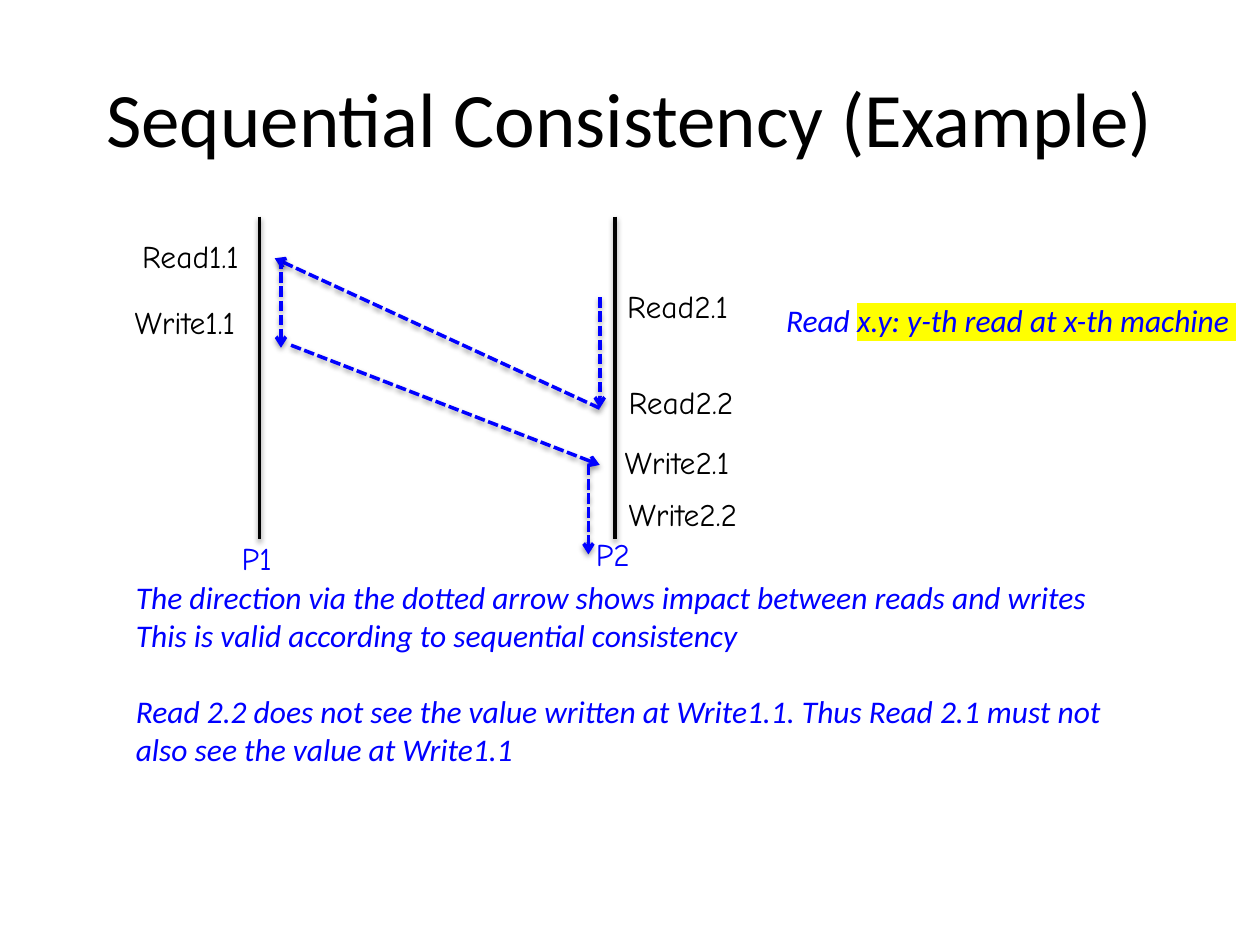
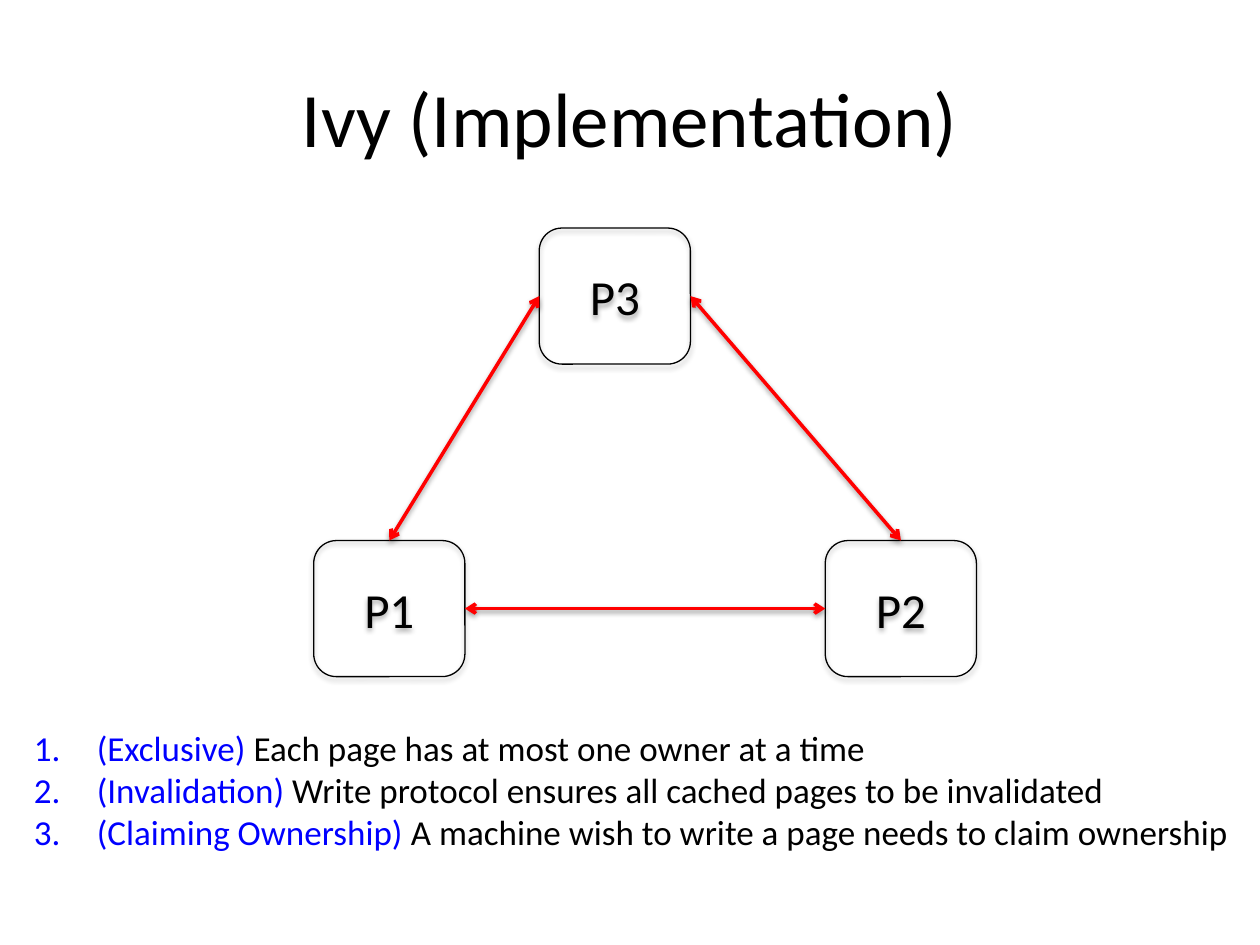
from lxml import etree
from pptx import Presentation
from pptx import util as u
from pptx.dml.color import RGBColor
from pptx.enum import dml, shapes, text
from pptx.oxml.ns import qn

WIDTH, HEIGHT = u.Inches(10), u.Inches(7.5)
COLUMNS, ROWS = 100, 75
BLACK, BLUE, RED, YELLOW = "000000", "0000FF", "FF0000", "FFFF00"
BODY_FONT, LABEL_FONT = "Calibri", "Comic Neue"
ALIGN = text.PP_ALIGN


def col(count):
    return round(WIDTH * count / COLUMNS)


def row(count):
    return round(HEIGHT * count / ROWS)


def rgb(value):
    return RGBColor.from_string(value)


def add_shadow(element, opacity, distance):
    effects = etree.SubElement(element.spPr, qn("a:effectLst"))
    shadow = etree.SubElement(effects, qn("a:outerShdw"), blurRad=str(u.Pt(3.1)),
                              dist=str(u.Pt(distance)), dir="5400000", rotWithShape="0")
    color = etree.SubElement(shadow, qn("a:srgbClr"), val=BLACK)
    etree.SubElement(color, qn("a:alpha"), val=str(opacity * 1000))


def style(span, size, color, font=BODY_FONT, italic=None):
    span.font.name = font
    span.font.size = u.Pt(size)
    span.font.color.rgb = rgb(color)
    span.font.italic = italic


def highlight(span, color):
    mark = etree.Element(qn("a:highlight"))
    etree.SubElement(mark, qn("a:srgbClr"), val=color)
    span.font._element.find(qn("a:latin")).addprevious(mark)


def add_span(para, words, *look, **options):
    span = para.add_run()
    span.text = words
    style(span, *look, **options)
    return span


def add_box(page, left, top, width, height, wrap=False):
    box = page.shapes.add_textbox(col(left), row(top), col(width), row(height))
    box.text_frame.word_wrap = wrap
    box.text_frame.auto_size = text.MSO_AUTO_SIZE.SHAPE_TO_FIT_TEXT
    return box.text_frame


def add_page(deck, title):
    page = deck.slides.add_slide(deck.slide_layouts[6])
    frame = add_box(page, 5, 3, 90, 12.5, wrap=True)
    frame.auto_size = text.MSO_AUTO_SIZE.NONE
    frame.vertical_anchor = text.MSO_ANCHOR.MIDDLE
    frame.text = title
    frame.paragraphs[0].alignment = ALIGN.CENTER
    style(frame.paragraphs[0].runs[0], 44, BLACK)
    return page


def set_indent(para, margin, first):
    properties = para._p.get_or_add_pPr()
    properties.set("marL", str(col(margin)))
    properties.set("indent", str(col(first)))
    return properties


def add_indented(page, left, top):
    para = add_box(page, left, top, 50, 4, wrap=True).paragraphs[0]
    para.level = 1
    para.alignment = ALIGN.JUSTIFY
    set_indent(para, 5, 0)
    return para


def add_line(page, start, end, color, dashed=False, arrows=()):
    line = page.shapes.add_connector(shapes.MSO_CONNECTOR.STRAIGHT,
                                     col(start[0]), row(start[1]), col(end[0]), row(end[1]))
    line.line.color.rgb = rgb(color)
    line.line.width = u.Pt(2)
    if dashed:
        line.line.dash_style = dml.MSO_LINE.SQUARE_DOT
    for arrow in arrows:
        etree.SubElement(line.line._get_or_add_ln(), qn(f"a:{arrow}"), type="arrow")
    add_shadow(line._element, 38, 1.6)
    return line


def add_process(page, name, left, top):
    box = page.shapes.add_shape(shapes.MSO_SHAPE.ROUNDED_RECTANGLE,
                                col(left), row(top), col(12), row(10.8))
    box.fill.background()
    box.line.color.rgb = rgb(BLACK)
    box.line.width = u.Pt(0.75)
    add_shadow(box._element, 35, 1.8)
    box.text_frame.text = name
    box.text_frame.vertical_anchor = text.MSO_ANCHOR.MIDDLE
    box.text_frame.paragraphs[0].alignment = ALIGN.CENTER
    style(box.text_frame.paragraphs[0].runs[0], 28, BLACK)
    return box


def link(page, first, first_side, second, second_side):
    line = add_line(page, (0, 0), (0, 0), RED, arrows=("headEnd", "tailEnd"))
    line.begin_connect(first, first_side)
    line.end_connect(second, second_side)


def add_numbered(page, items):
    frame = add_box(page, 1.7, 57.2, 97.7, 11.1)
    for index, (term, rule) in enumerate(items):
        para = frame.add_paragraph() if index else frame.paragraphs[0]
        para.alignment = ALIGN.JUSTIFY
        properties = set_indent(para, 5, -5)
        etree.SubElement(properties, qn("a:buFont"), typeface="+mj-lt")
        etree.SubElement(properties, qn("a:buAutoNum"), type="arabicPeriod")
        add_span(para, f"({term}) ", 20, BLUE)
        add_span(para, rule, 20, BLACK)


def build_example(deck):
    page = add_page(deck, "Sequential Consistency (Example)")
    for name, axis, left, top in (("P1", 20.6, 18.2, 42.3), ("P2", 48.8, 46.3, 42)):
        add_line(page, (axis, 17.2), (axis, 42.8), BLACK)
        para = add_box(page, left, top, 4.9, 4).paragraphs[0]
        add_span(para, name, 18, BLUE, LABEL_FONT)

    for operation, left, top in (("Read1.1", 5.3, 18.3), ("Write1.1", 4.7, 23.6),
                                 ("Read2.1", 43.8, 22.3), ("Read2.2", 43.9, 29.9),
                                 ("Write2.1", 43.6, 34.7), ("Write2.2", 43.9, 38.8)):
        add_span(add_indented(page, left, top), operation, 18, BLACK, LABEL_FONT)

    for start, end in (((47.6, 23.6), (47.6, 32.4)), ((47.6, 32.4), (21.8, 20.5)),
                       ((22.3, 20.5), (22.3, 27.6)), ((23.1, 27.4), (47.6, 36.9)),
                       ((46.7, 36.9), (46.7, 44))):
        add_line(page, start, end, BLUE, dashed=True, arrows=("tailEnd",))

    legend = add_indented(page, 56.4, 23.4)
    add_span(legend, "Read ", 18, BLUE, italic=True)
    meaning = add_span(legend, "x.y: y-th read at x-th machine ", 18, BLUE, italic=True)
    highlight(meaning, YELLOW)

    notes = add_box(page, 9.8, 45.4, 80.3, 16.2)
    notes.text = "\n".join((
        "The direction via the dotted arrow shows impact between reads and writes",
        "This is valid according to sequential consistency",
        "Read 2.2 does not see the value written at Write1.1. Thus Read 2.1 must not",
        "also see the value at Write1.1"))
    for para in notes.paragraphs:
        style(para.runs[0], 18, BLUE, italic=True)
    notes.paragraphs[2].space_before = u.Pt(22)


def build_implementation(deck):
    page = add_page(deck, "Ivy (Implementation)")
    p1 = add_process(page, "P1", 24.9, 42.9)
    p2 = add_process(page, "P2", 65.5, 42.9)
    p3 = add_process(page, "P3", 42.8, 18.1)
    link(page, p3, 1, p1, 0)
    link(page, p2, 1, p1, 3)
    link(page, p3, 3, p2, 0)
    add_numbered(page, (
        ("Exclusive", "Each page has at most one owner at a time"),
        ("Invalidation", "Write protocol ensures all cached pages to be invalidated"),
        ("Claiming Ownership", "A machine wish to write a page needs to claim ownership")))


def main():
    deck = Presentation()
    deck.slide_width, deck.slide_height = WIDTH, HEIGHT
    build_example(deck)
    build_implementation(deck)
    deck.save("out.pptx")


if __name__ == "__main__":
    main()
